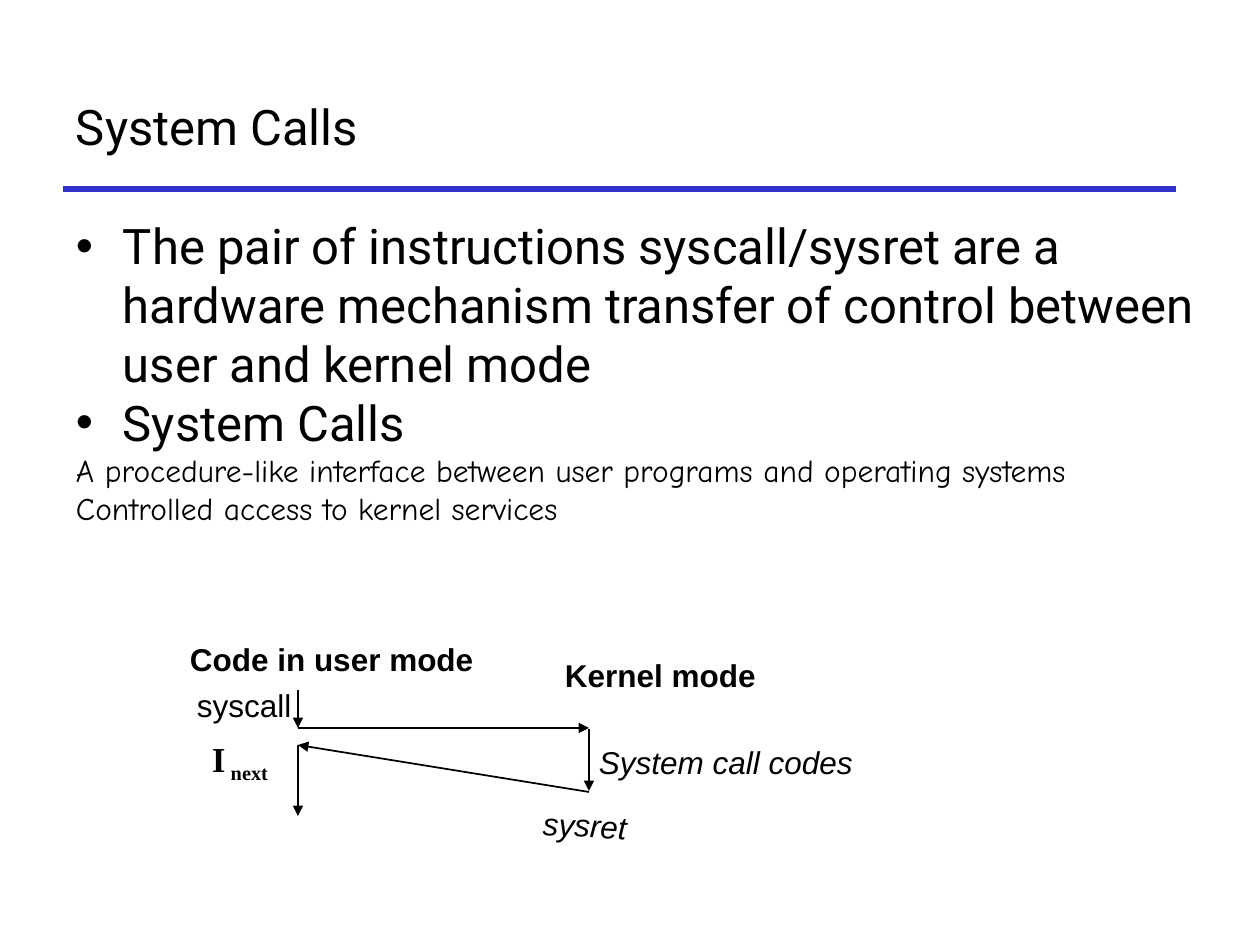
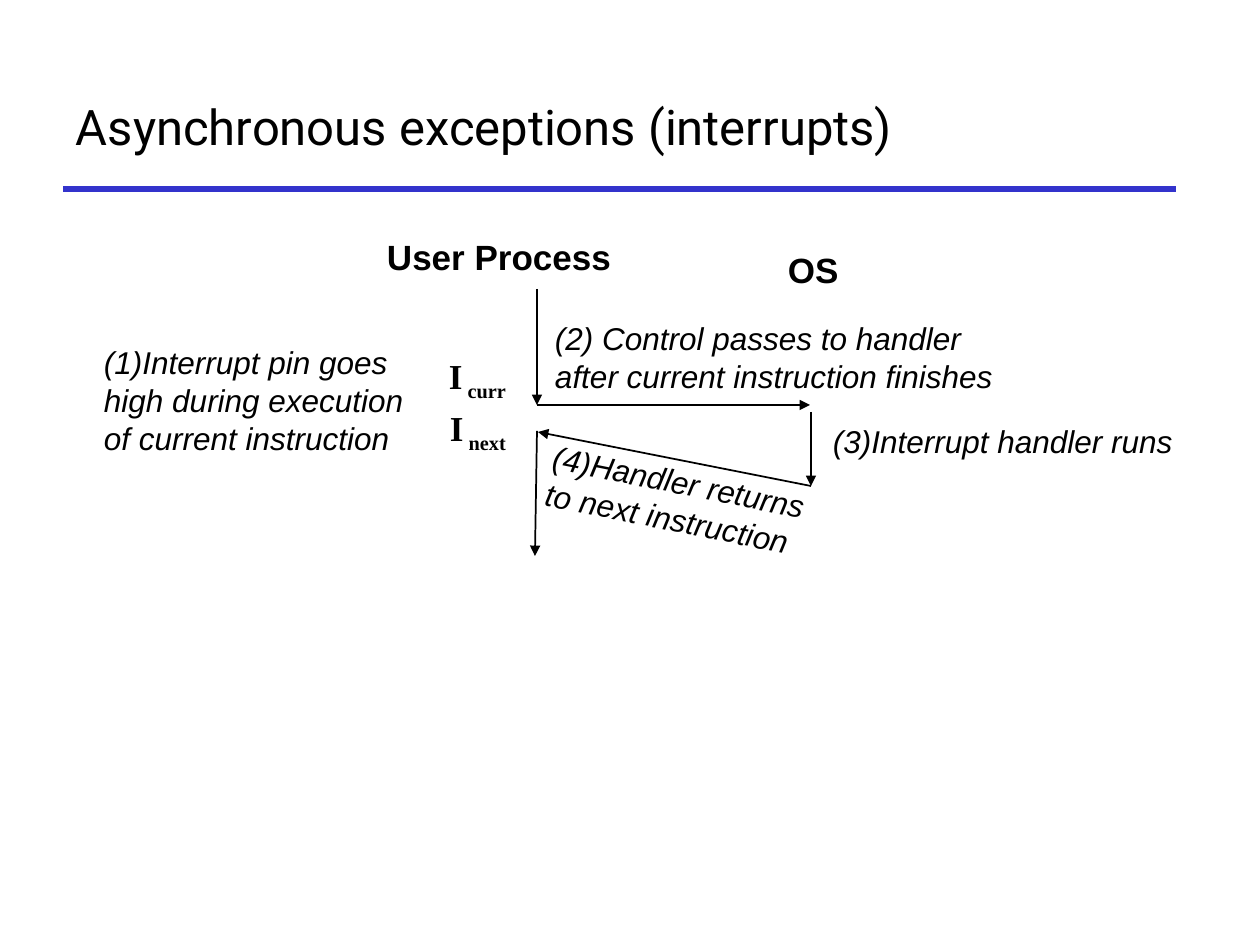
from dataclasses import dataclass
from lxml.etree import SubElement
from pptx import Presentation
from pptx.dml.color import RGBColor
from pptx.enum.shapes import MSO_CONNECTOR
from pptx.enum.text import MSO_ANCHOR, MSO_AUTO_SIZE
from pptx.oxml.ns import qn
from pptx.util import Emu, Pt


@dataclass(frozen=True)
class Theme:
    ink: RGBColor = RGBColor(0, 0, 0)
    rule: RGBColor = RGBColor(0x33, 0x33, 0xCC)
    main_font: str = "Roboto"
    sub_font: str = "Comic Neue"
    label_font: str = "Arial"
    code_font: str = "Times New Roman"
    main_size: int = 28
    head_size: int = 20
    label_size: int = 18
    rule_width: int = 3
    arrow_width: int = 1


THEME = Theme()
WIDE_INSET = (13, 6)
TIGHT_INSET = (9, 5)


def px(n):
    return Emu(round(n * 914400 / 126))


def add_run(p, text, font, size, bold=False, italic=False):
    r = p.add_run()
    r.text = text
    r.font.name = font
    r.font.size = Pt(size)
    r.font.bold = bold
    r.font.italic = italic
    r.font.color.rgb = THEME.ink
    return r


def add_box(shapes, box, inset=WIDE_INSET, wrap=True, grow=False):
    sp = shapes.add_textbox(*map(px, box))
    tf = sp.text_frame
    tf.word_wrap = wrap
    tf.auto_size = MSO_AUTO_SIZE.SHAPE_TO_FIT_TEXT if grow else MSO_AUTO_SIZE.NONE
    tf.margin_left = tf.margin_right = px(inset[0])
    tf.margin_top = tf.margin_bottom = px(inset[1])
    return sp


def add_line(shapes, start, end, color, width, arrow=False):
    line = shapes.add_connector(MSO_CONNECTOR.STRAIGHT, *map(px, start + end))
    line.line.color.rgb = color
    line.line.width = Pt(width)
    if arrow:
        SubElement(line.line._get_or_add_ln(), qn("a:tailEnd"), type="triangle")
    SubElement(line._element.spPr, qn("a:effectLst"))


def add_arrows(shapes, *ends):
    for start, end in ends:
        add_line(shapes, start, end, THEME.ink, THEME.arrow_width, arrow=True)


def add_label(shapes, box, *lines, size=THEME.label_size, bold=False,
              italic=False, wrap=False, inset=TIGHT_INSET, rotation=0):
    sp = add_box(shapes, box, inset, wrap, grow=True)
    sp.rotation = rotation
    tf = sp.text_frame
    for i, text in enumerate(lines):
        p = tf.add_paragraph() if i else tf.paragraphs[0]
        add_run(p, text, THEME.label_font, size, bold, italic)


def add_instruction(shapes, box, subscript):
    p = add_box(shapes, box, wrap=False, grow=True).text_frame.paragraphs[0]
    add_run(p, "I", THEME.code_font, THEME.head_size, bold=True)
    r = add_run(p, " " + subscript, THEME.code_font, THEME.head_size, bold=True)
    r.font._element.set("baseline", "-25000")


def add_body(shapes, box, items):
    tf = add_box(shapes, box).text_frame
    for i, (level, text) in enumerate(items):
        p = tf.add_paragraph() if i else tf.paragraphs[0]
        p.level = level
        pPr = p._p.get_or_add_pPr()
        indent = 0 if level else px(47)
        pPr.set("marL", str(indent))
        pPr.set("indent", str(-indent))
        if level:
            SubElement(pPr, qn("a:buNone"))
            add_run(p, text, THEME.sub_font, THEME.label_size)
        else:
            SubElement(pPr, qn("a:buFont"), typeface=THEME.label_font)
            SubElement(pPr, qn("a:buChar"), char="\u2022")
            add_run(p, text, THEME.main_font, THEME.main_size)


def add_slide(prs, title):
    shapes = prs.slides.add_slide(prs.slide_layouts[6]).shapes
    add_line(shapes, (63, 189), (1176, 189), THEME.rule, THEME.rule_width)
    tf = add_box(shapes, (63, 63, 1113, 126)).text_frame
    tf.vertical_anchor = MSO_ANCHOR.MIDDLE
    add_run(tf.paragraphs[0], title, THEME.main_font, THEME.main_size)
    return shapes


def system_calls(prs):
    shapes = add_slide(prs, "System Calls")
    add_body(shapes, (63, 210, 1176, 410), [
        (0, "The pair of instructions syscall/sysret are a hardware mechanism "
            "transfer of control between user and kernel mode"),
        (0, "System Calls"),
        (1, "A procedure-like interface between user programs and operating systems"),
        (1, "Controlled access to kernel services"),
    ])
    diagram = shapes.add_group_shape().shapes
    add_label(diagram, (181, 635, 305, 48), "Code in user mode", bold=True)
    add_label(diagram, (556, 651, 212, 48), "Kernel mode", bold=True)
    add_arrows(diagram,
               ((298, 690), (298, 728)),
               ((298, 728), (589, 728)),
               ((589, 729), (589, 791)),
               ((589, 792), (298, 745)),
               ((298, 745), (298, 816)))
    add_label(diagram, (590, 738, 304, 48), "System call codes", italic=True, wrap=True)
    add_label(diagram, (534, 801, 103, 48), "sysret", italic=True, rotation=3.1)
    add_label(diagram, (184, 680, 121, 50), "syscall", inset=WIDE_INSET)
    add_instruction(diagram, (199, 731, 88, 55), "next")


def interrupts(prs):
    shapes = add_slide(prs, "Asynchronous exceptions (interrupts)")
    diagram = shapes.add_group_shape().shapes
    add_label(diagram, (378, 231, 244, 63), "User Process", size=THEME.head_size, bold=True)
    add_label(diagram, (779, 243, 69, 57), "OS", size=THEME.head_size, bold=True)
    add_arrows(diagram,
               ((537, 289), (537, 405)),
               ((537, 405), (810, 405)),
               ((811, 412), (811, 486)),
               ((811, 486), (538, 432)),
               ((537, 431), (535, 556)))
    for box, text in (
        ((546, 314, 483, 86), "(2) Control passes to handler after current instruction finishes"),
        ((824, 417, 393, 53), "(3)Interrupt handler runs"),
        ((95, 338, 333, 123), "(1)Interrupt pin goes high during execution of current instruction"),
    ):
        add_label(diagram, box, text, italic=True, wrap=True)
    add_instruction(diagram, (436, 349, 89, 60), "curr")
    add_instruction(diagram, (437, 401, 88, 60), "next")
    add_label(shapes, (538, 460, 304, 86), "(4)Handler returns", "to next instruction",
              italic=True, wrap=True, rotation=11.3)


def main():
    prs = Presentation()
    prs.slide_width, prs.slide_height = px(1260), px(945)
    system_calls(prs)
    interrupts(prs)
    prs.save("out.pptx")


main()
